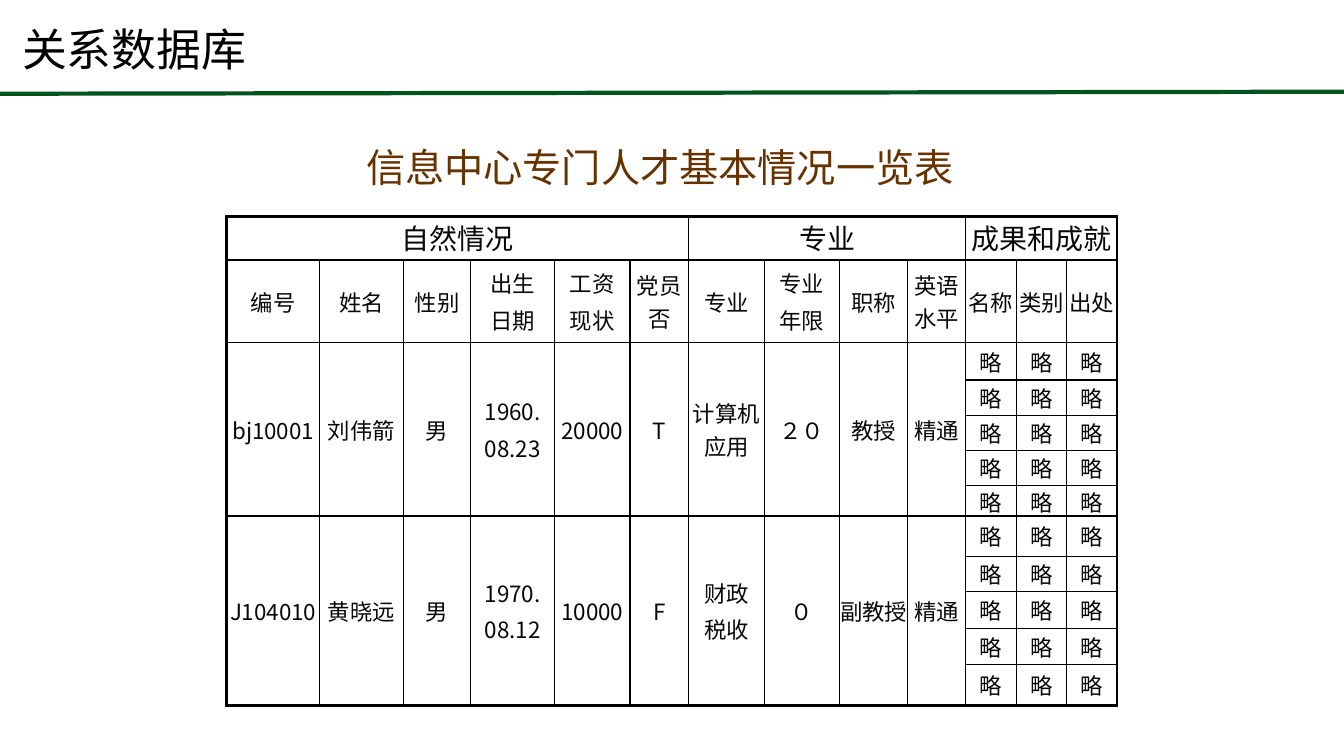
import pptx
import pptx.util
import pptx.dml.color
import pptx.enum.shapes
import pptx.enum.text
import pptx.oxml.ns
import lxml.etree

Inches = pptx.util.Inches
Pt = pptx.util.Pt
qn = pptx.oxml.ns.qn
Middle = pptx.enum.text.MSO_ANCHOR.MIDDLE
Top = pptx.enum.text.MSO_ANCHOR.TOP
Center = pptx.enum.text.PP_ALIGN.CENTER
Left = pptx.enum.text.PP_ALIGN.LEFT

FONT = "Noto Sans CJK SC"
COLORS = {"rule": "00531D", "title": "000000", "caption": "663300", "cell": "080808", "border": "000000"}

deck = pptx.Presentation()
deck.slide_width, deck.slide_height = Inches(13.33), Inches(7.5)
page = deck.slides.add_slide(deck.slide_layouts[6])


def write(frame, text, size, color, align):
    for index, line in enumerate(text.split("\n")):
        para = frame.paragraphs[0] if index == 0 else frame.add_paragraph()
        para.alignment = align
        span = para.add_run()
        span.text = line
        for name, value in {"size": Pt(size), "name": FONT, "bold": False}.items():
            setattr(span.font, name, value)
        span.font.color.rgb = pptx.dml.color.RGBColor.from_string(COLORS[color])
        lxml.etree.SubElement(span.font._element, qn("a:ea"), typeface=FONT)


def draw_border(properties, index, side, width):
    line = lxml.etree.Element(qn("a:" + side), w=str(Pt(width)))
    fill = lxml.etree.SubElement(line, qn("a:solidFill"))
    lxml.etree.SubElement(fill, qn("a:srgbClr"), val=COLORS["border"])
    properties.insert(index, line)


rule = page.shapes.add_connector(
    pptx.enum.shapes.MSO_CONNECTOR.STRAIGHT, Inches(0), Inches(0.93), Inches(13.33), Inches(0.91))
rule.line.width = Pt(3)
rule.line.color.rgb = pptx.dml.color.RGBColor.from_string(COLORS["rule"])
lxml.etree.SubElement(rule._element.spPr, qn("a:effectLst"))

headings = [
    ("关系数据库", (0.02, 0.02, 11.3, 1), 32, "title", Left, {"vertical_anchor": Middle, "margin_left": Inches(0.2)}),
    ("信息中心专门人才基本情况一览表", (2.88, 1.37, 7.33, 0.57), 28, "caption", Center, {"vertical_anchor": Top}),
]
for text, place, size, color, align, settings in headings:
    box = page.shapes.add_textbox(*map(Inches, place))
    box.text_frame.word_wrap = True
    for name, value in settings.items():
        setattr(box.text_frame, name, value)
    write(box.text_frame, text, size, color, align)
    if color == "title":
        box.text_frame.paragraphs[0].line_spacing = 0.9

widths = [0.92, 0.83, 0.67, 0.83, 0.75, 0.58, 0.75, 0.75, 0.67, 0.58, 0.5, 0.5, 0.5]
heights = [0.43, 0.82, 0.37, 0.35, 0.35, 0.35, 0.3, 0.4, 0.35, 0.37, 0.35, 0.41]
groups = [("自然情况", 0, 5), ("专业", 6, 9), ("成果和成就", 10, 12)]
fields = ["编号", "姓名", "性别", "出生\n日期", "工资\n现状", "党员否", "专业",
          "专业\n年限", "职称", "英语水平", "名称", "类别", "出处"]
people = {
    2: ["bj10001", "刘伟箭", "男", "1960.\n08.23", "20000", "T", "计算机应用", "２０", "教授", "精通"],
    7: ["J104010", "黄晓远", "男", "1970.\n08.12", "10000", "F", "财政\n税收", "０", "副教授", "精通"],
}
row_count, column_count = len(heights), len(widths)

frame = page.shapes.add_table(row_count, column_count, Inches(2.25), Inches(2.15), Inches(8.83), Inches(4.83))
table = frame.table
table.first_row = table.horz_banding = False
for column, width in zip(table.columns, widths):
    column.width = Inches(width)
for row, height in zip(table.rows, heights):
    row.height = Inches(height)

texts = {(1, column): field for column, field in enumerate(fields)}
for name, first, last in groups:
    table.cell(0, first).merge(table.cell(0, last))
    texts[0, first] = name
for start, person in people.items():
    for column, value in enumerate(person):
        table.cell(start, column).merge(table.cell(start + 4, column))
        texts[start, column] = value
for row in range(2, row_count):
    for column in range(10, column_count):
        texts[row, column] = "略"

for row in range(row_count):
    for column in range(column_count):
        cell = table.cell(row, column)
        for side in ("left", "right", "top", "bottom"):
            setattr(cell, "margin_" + side, 0)
        cell.vertical_anchor = Middle if row else Top
        cell.fill.background()
        outer = {
            "lnL": column == 0,
            "lnR": column + cell.span_width == column_count,
            "lnT": row == 0,
            "lnB": row + cell.span_height == row_count,
        }
        for index, (side, is_outer) in enumerate(outer.items()):
            draw_border(cell._tc.tcPr, index, side, 2.25 if is_outer else 1)
        if (row, column) in texts:
            write(cell.text_frame, texts[row, column], 16 if row else 20, "cell", Center)
            for para in cell.text_frame.paragraphs:
                before = lxml.etree.SubElement(para._p.pPr, qn("a:spcBef"))
                lxml.etree.SubElement(before, qn("a:spcPct"), val="20000")

deck.save("out.pptx")
